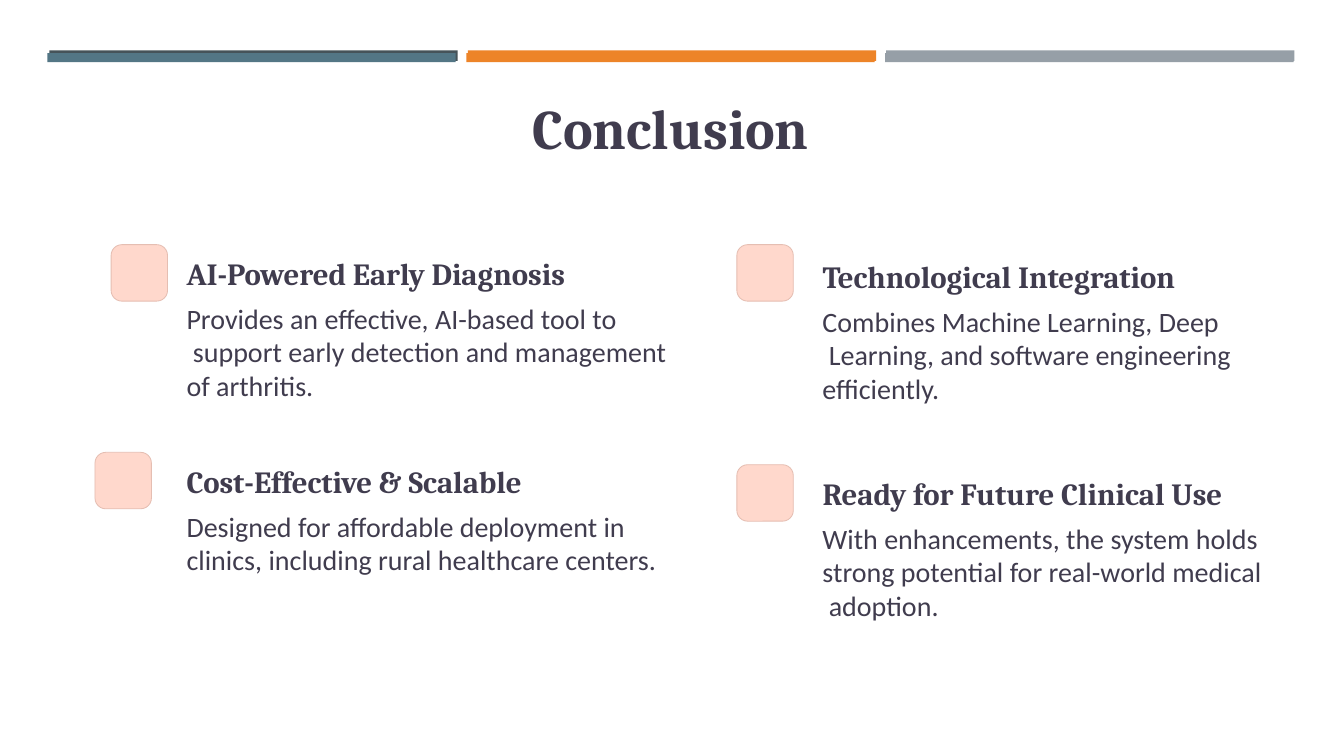
import dataclasses

import pptx
import pptx.dml.color
import pptx.enum.shapes
import pptx.enum.text
import pptx.util

SHAPE = pptx.enum.shapes.MSO_SHAPE
ALIGN = pptx.enum.text.PP_ALIGN
ANCHOR = pptx.enum.text.MSO_ANCHOR


@dataclasses.dataclass(frozen=True)
class Theme:
    ink: str = "403C4E"
    tile: str = "FFD8CC"
    tile_edge: str = "E5BEB2"
    back_bars: tuple = ("465359", "ED8428", "969FA7")
    front_bars: tuple = ("537685", "ED8428", "969FA7")
    heading_font: str = "Cambria"
    body_font: str = "Calibri"
    title_size: float = 40
    heading_size: float = 22
    heading_leading: float = 27.5
    body_size: float = 20


THEME = Theme()

# The slide is a grid of 100 columns by 100 rows
WIDTH, HEIGHT = pptx.util.Inches(13.33), pptx.util.Inches(7.5)
TILE_COLS, TILE_ROWS = 4.2, 7.47
HEADING_COLS, HEADING_ROWS = 33, 5.2
BODY_OFFSET = 6.36

# Tile corner, text box (left, top, width, body height), heading, body lines
POINTS = [
    ((8.27, 32.36), (13.88, 33.47, 41.55, 16.93), "AI-Powered Early Diagnosis",
     ["Provides an effective, AI-based tool to",
      " support early detection and management",
      "of arthritis."]),
    ((7.07, 59.83), (13.88, 60.97, 41.55, 10.4), "Cost-Effective & Scalable",
     ["Designed for affordable deployment in",
      "clinics, including rural healthcare centers."]),
    ((54.83, 32.36), (61.2, 33.87, 36.08, 16.93), "Technological Integration",
     ["Combines Machine Learning, Deep",
      " Learning, and software engineering",
      "efficiently."]),
    ((54.83, 61.47), (61.2, 62.6, 36.08, 15.33), "Ready for Future Clinical Use",
     ["With enhancements, the system holds",
      "strong potential for real-world medical",
      " adoption."]),
]


def place(left, top, cols, rows):
    """Turn grid units into slide lengths."""
    return (round(left * WIDTH / 100), round(top * HEIGHT / 100),
            round(cols * WIDTH / 100), round(rows * HEIGHT / 100))


def rgb(value):
    return pptx.dml.color.RGBColor.from_string(value)


def add_block(slide, kind, box, fill, edge=None):
    block = slide.shapes.add_shape(kind, *place(*box))
    block.shadow.inherit = False
    block.fill.solid()
    block.fill.fore_color.rgb = rgb(fill)
    if edge:
        block.line.color.rgb = rgb(edge)
        block.line.width = pptx.util.Pt(0.6)
    else:
        block.line.fill.background()
    return block


def add_text(slide, box, lines, font, size, bold=False, leading=None):
    """Text without margins, one paragraph a line."""
    frame = slide.shapes.add_textbox(*place(*box)).text_frame
    frame.word_wrap = True
    frame.margin_left = frame.margin_right = 0
    frame.margin_top = frame.margin_bottom = 0
    frame.text = "\n".join(lines)
    for paragraph in frame.paragraphs:
        paragraph.alignment = ALIGN.LEFT
        if leading:
            paragraph.line_spacing = pptx.util.Pt(leading)
        for run in paragraph.runs:
            run.font.name = font
            run.font.size = pptx.util.Pt(size)
            run.font.bold = bold
            run.font.color.rgb = rgb(THEME.ink)
    return frame


def add_bar_row(slide, box, pitch, colors):
    """Equal bars across the top; box is the first bar."""
    left, top, cols, rows = box
    for index, color in enumerate(colors):
        add_block(slide, SHAPE.RECTANGLE,
                  (left + index * pitch, top, cols, rows), color)


def add_title(slide, box, title):
    frame = add_text(slide, box, [title], THEME.heading_font,
                     THEME.title_size, bold=True)
    frame.margin_top = frame.margin_bottom = pptx.util.Inches(0.05)
    frame.vertical_anchor = ANCHOR.BOTTOM
    frame.paragraphs[0].alignment = ALIGN.CENTER


def add_point(slide, tile_corner, box, heading, body_lines):
    """A rounded tile beside a heading with its body below."""
    left, top, cols, body_rows = box
    tile = add_block(slide, SHAPE.ROUNDED_RECTANGLE,
                     (*tile_corner, TILE_COLS, TILE_ROWS),
                     THEME.tile, THEME.tile_edge)
    tile.adjustments[0] = 0.19
    add_text(slide, (left, top, HEADING_COLS, HEADING_ROWS), [heading],
             THEME.heading_font, THEME.heading_size, bold=True,
             leading=THEME.heading_leading)
    add_text(slide, (left, top + BODY_OFFSET, cols, body_rows), body_lines,
             THEME.body_font, THEME.body_size)


def main():
    deck = pptx.Presentation()
    deck.slide_width, deck.slide_height = WIDTH, HEIGHT
    slide = deck.slides.add_slide(deck.slide_layouts[6])

    # Two slightly offset layers of coloured bars
    add_bar_row(slide, (3.68, 6.67, 30.38, 1.4), 31.13, THEME.back_bars)
    add_bar_row(slide, (3.53, 7.03, 30.38, 1.2), 31.17, THEME.front_bars)

    # Title and the four conclusions
    add_title(slide, (6.58, 11.6, 86.65, 10.27), "Conclusion")
    for point in POINTS:
        add_point(slide, *point)

    deck.save("out.pptx")


if __name__ == "__main__":
    main()
